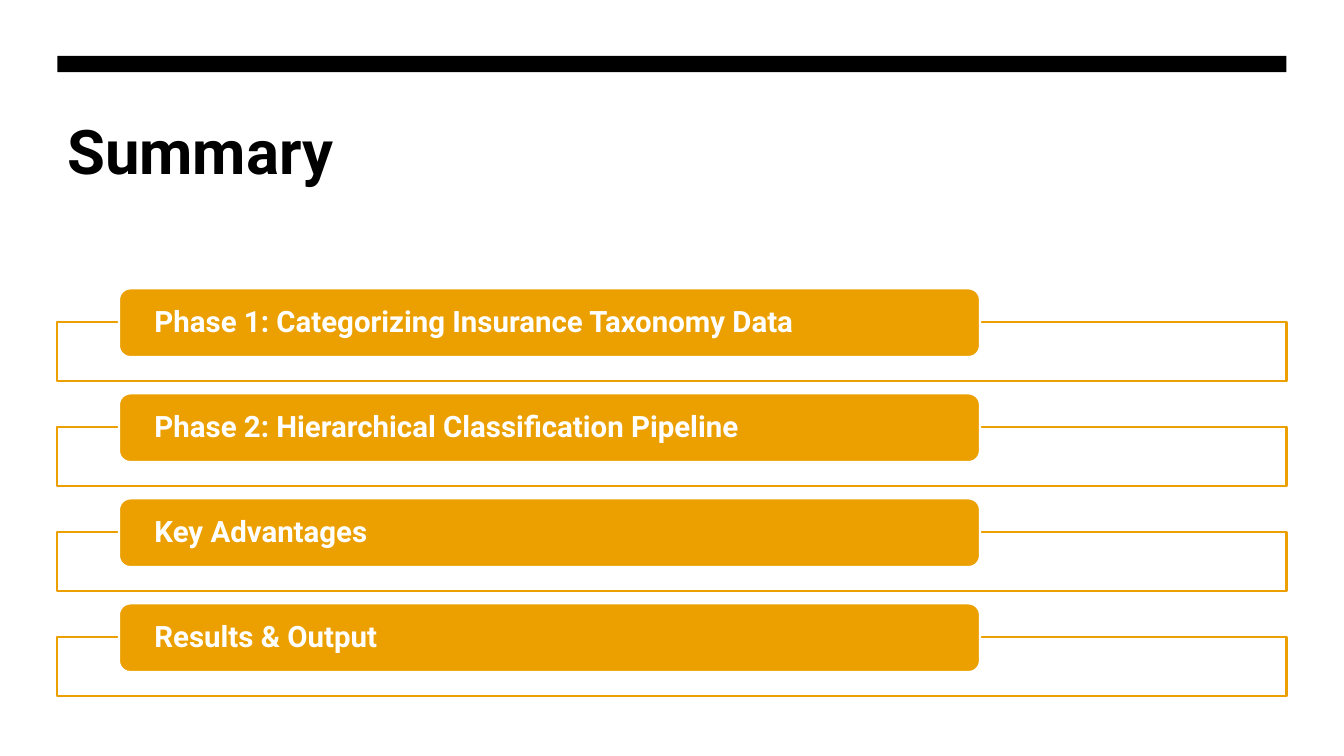
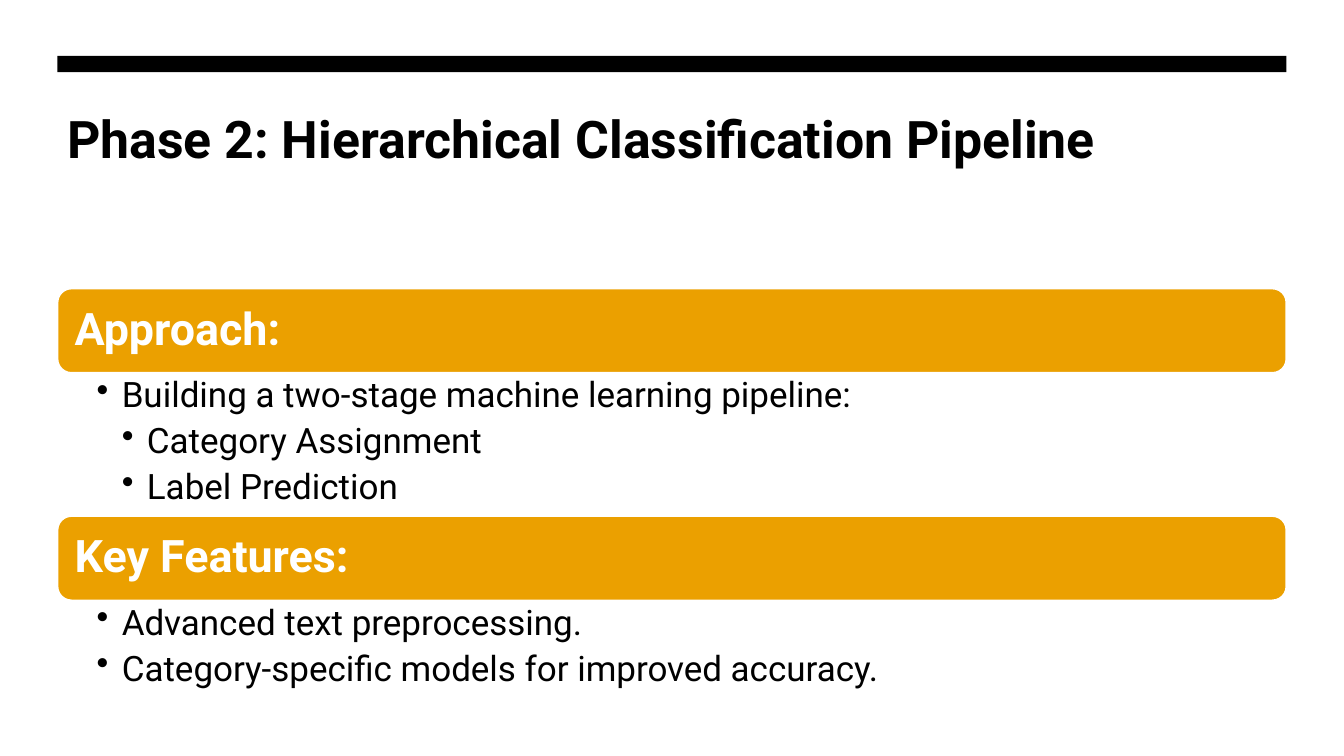
import pptx
import pptx.util
import pptx.dml.color
import pptx.enum.shapes
import pptx.enum.text
from lxml import etree

Pt = pptx.util.Pt
RGBColor = pptx.dml.color.RGBColor
KIND = pptx.enum.shapes.MSO_SHAPE
ANCHOR = pptx.enum.text.MSO_ANCHOR
ALIGN = pptx.enum.text.PP_ALIGN

BLACK = RGBColor(0, 0, 0)
WHITE = RGBColor(255, 255, 255)
GOLD = RGBColor(0xEB, 0xA0, 0x00)
FONT = "Roboto"
NS = "http://schemas.openxmlformats.org/drawingml/2006/main"

# Shared measures in points
LEFT, WIDE = 41, 878
TOP = 206


def draw(slide, kind, x, y, w, h, fill, line=None):
    shape = slide.shapes.add_shape(kind, Pt(x), Pt(y), Pt(w), Pt(h))
    shape.shadow.inherit = False
    shape.fill.solid()
    shape.fill.fore_color.rgb = fill
    if line is None:
        shape.line.fill.background()
    else:
        shape.line.color.rgb = line
        shape.line.width = Pt(1.5)
    return shape


def write(shape, par, text, size, color, bold=True, pad=(7.2, 4, 7.2, 4),
          space=0.9):
    frame = shape.text_frame
    frame.word_wrap = True
    frame.margin_left, frame.margin_top = Pt(pad[0]), Pt(pad[1])
    frame.margin_right, frame.margin_bottom = Pt(pad[2]), Pt(pad[3])
    par.alignment = ALIGN.LEFT
    par.line_spacing = space
    run = par.add_run()
    run.text = text
    run.font.name = FONT
    run.font.size = Pt(size)
    run.font.bold = bold
    run.font.color.rgb = color


deck = pptx.Presentation()
deck.slide_width, deck.slide_height = Pt(960), Pt(540)

# Top bar and title on each slide
pages = []
for title, size, space in [
    ("Summary", 44, 1.0),
    ("Phase 2: Hierarchical Classification Pipeline", 37, 0.9),
]:
    page = deck.slides.add_slide(deck.slide_layouts[6])
    draw(page, KIND.RECTANGLE, LEFT, 40, WIDE, 11.5, BLACK)
    head = page.shapes.add_textbox(Pt(LEFT), Pt(77), Pt(WIDE), Pt(115))
    write(head, head.text_frame.paragraphs[0], title, size, BLACK, space=space)
    pages.append(page)
first, second = pages

# Summary: a label over each open frame
topics = [
    "Phase 1: Categorizing Insurance Taxonomy Data",
    "Phase 2: Hierarchical Classification Pipeline",
    "Key Advantages",
    "Results & Output",
]
for row, topic in enumerate(topics):
    y = TOP + row * 75
    draw(first, KIND.RECTANGLE, LEFT, y + 24, WIDE, 42, WHITE, GOLD)
    label = draw(first, KIND.ROUNDED_RECTANGLE, 85, y, 615, 49, GOLD, WHITE)
    label.text_frame.vertical_anchor = ANCHOR.MIDDLE
    write(label, label.text_frame.paragraphs[0], topic, 21, WHITE,
          pad=(23, 0, 23, 0))

# Pipeline: a banner with bullets below, each with its level
parts = [
    ("Approach:", [
        (1, "Building a two-stage machine learning pipeline:"),
        (2, "Category Assignment"),
        (2, "Label Prediction"),
    ]),
    ("Key Features:", [
        (1, "Advanced text preprocessing."),
        (1, "Category-specific models for improved accuracy."),
    ]),
]
for row, (name, items) in enumerate(parts):
    y = TOP + row * 162.5
    band = draw(second, KIND.ROUNDED_RECTANGLE, LEFT, y, WIDE, 60.5, GOLD, WHITE)
    band.text_frame.vertical_anchor = ANCHOR.MIDDLE
    write(band, band.text_frame.paragraphs[0], name, 32, WHITE,
          pad=(9.4, 9.4, 9.4, 9.4))

    body = second.shapes.add_textbox(
        Pt(LEFT), Pt(y + 60.5), Pt(WIDE), Pt(34 * len(items)))
    frame = body.text_frame
    for num, (level, item) in enumerate(items):
        par = frame.add_paragraph() if num else frame.paragraphs[0]
        write(body, par, item, 25, BLACK, False, pad=(28, 3, 18, 3))
        par.level = level
        par.space_after = Pt(5.9)
        props = par._p.get_or_add_pPr()
        props.set("marL", str(Pt(18 * level)))
        props.set("indent", str(-Pt(18)))
        etree.SubElement(props, "{%s}buChar" % NS).set("char", "•")

deck.save("out.pptx")
